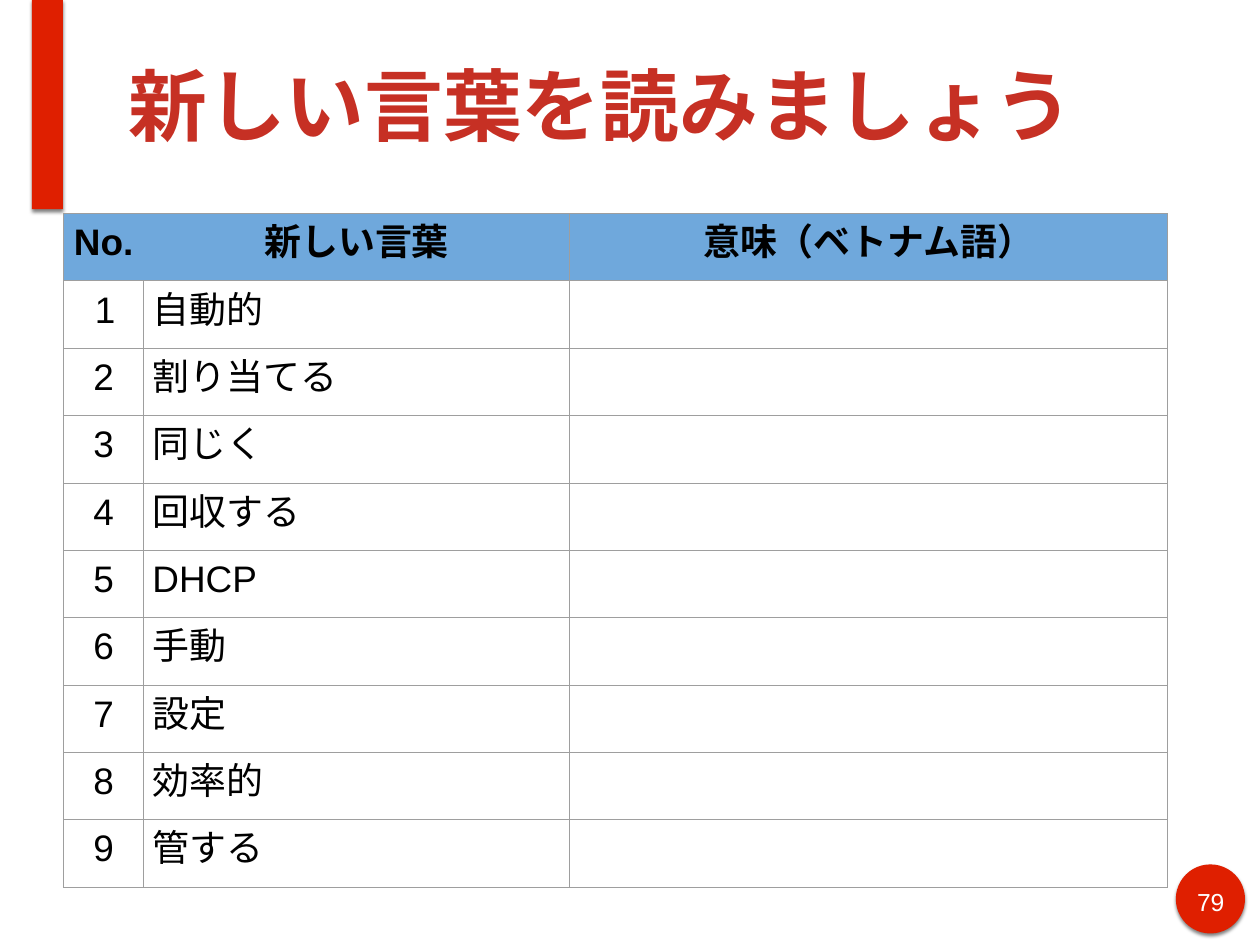
import dataclasses
import pptx
import pptx.dml.color
import pptx.enum.lang
import pptx.enum.shapes
import pptx.enum.text
import pptx.oxml
import pptx.oxml.ns
import pptx.util

RGB = pptx.dml.color.RGBColor
RED = RGB(0xDF, 0x1F, 0x00)
BRICK = RGB(0xC6, 0x30, 0x24)
BLUE = RGB(0x6F, 0xA8, 0xDC)
GREY = RGB(0x9E, 0x9E, 0x9E)
BLACK = RGB(0, 0, 0)
WHITE = RGB(0xFF, 0xFF, 0xFF)

KIND = pptx.enum.shapes.MSO_SHAPE
ALIGN = pptx.enum.text.PP_ALIGN
ANCHOR = pptx.enum.text.MSO_ANCHOR
WIDE, HIGH = pptx.util.Inches(14.22), pptx.util.Inches(10.67)
NS = pptx.oxml.ns.nsdecls("a")

HEAD = ("No.", "新しい言葉", "意味（ベトナム語）")
WORDS = ("自動的", "割り当てる", "同じく", "回収する", "DHCP",
         "手動", "設定", "効率的", "管する")
COLS = (6.33, 33.83, 47.47)  # percent of slide width
ROW = 7.13  # percent of slide height


@dataclasses.dataclass
class Box:
    """A frame in percent of the slide's width and height."""
    left: float
    top: float
    width: float
    height: float

    def frame(self) -> tuple[int, int, int, int]:
        return (share(self.left, WIDE), share(self.top, HIGH),
                share(self.width, WIDE), share(self.height, HIGH))


@dataclasses.dataclass
class Block:
    kind: KIND
    box: Box


@dataclasses.dataclass
class Label:
    text: str
    box: Box
    size: int
    color: RGB
    bold: bool
    align: ALIGN
    anchor: ANCHOR


BLOCKS = (Block(KIND.OVAL, Box(93.32, 91.47, 5.49, 7.31)),
          Block(KIND.RECTANGLE, Box(2.53, 0, 2.46, 22.12)))
LABELS = (
    Label("79", Box(94.37, 93.25, 3.45, 3.66), 20, WHITE, False,
          ALIGN.CENTER, ANCHOR.TOP),
    Label("新しい言葉を読みましょう", Box(9.77, 1.12, 85.37, 19.87), 64, BRICK, True,
          ALIGN.LEFT, ANCHOR.MIDDLE),
)
GRID = Box(5.06, 22.59, sum(COLS), ROW * (len(WORDS) + 1))


def share(part: float, whole: int) -> int:
    return round(part * whole / 100)


def style(para, size: int, color: RGB, bold: bool) -> None:
    for run in para.runs:
        font = run.font
        font.size = pptx.util.Pt(size)
        font.bold = bold
        font.color.rgb = color
        font.name = "Arial"
        font.language_id = pptx.enum.lang.MSO_LANGUAGE_ID.JAPANESE
        font._element.append(pptx.oxml.parse_xml(f'<a:ea {NS} typeface="Arial"/>'))


def draw_block(slide, block: Block) -> None:
    shape = slide.shapes.add_shape(block.kind, *block.box.frame())
    shape.fill.solid()
    shape.fill.fore_color.rgb = RED
    shape.line.fill.background()
    shape.shadow.inherit = False
    glow = pptx.oxml.parse_xml(
        f'<a:outerShdw {NS} blurRad="38100" dist="25400" dir="5400000" rotWithShape="0">'
        '<a:srgbClr val="000000"><a:alpha val="50000"/></a:srgbClr></a:outerShdw>')
    shape._element.spPr.find(pptx.oxml.ns.qn("a:effectLst")).append(glow)


def draw_label(slide, label: Label) -> None:
    frame = slide.shapes.add_textbox(*label.box.frame()).text_frame
    frame.word_wrap = True
    frame.vertical_anchor = label.anchor
    for side in ("left", "right", "top", "bottom"):
        setattr(frame, f"margin_{side}", pptx.util.Inches(0.06))
    frame.text = label.text
    para = frame.paragraphs[0]
    para.alignment = label.align
    style(para, label.size, label.color, label.bold)


def draw_edges(cell, bare: str) -> None:
    props = cell._tc.get_or_add_tcPr()
    for side in "LRTB":
        paint = ("<a:noFill/>" if side == bare else
                 f'<a:solidFill><a:srgbClr val="{GREY}"/></a:solidFill>')
        props.append(pptx.oxml.parse_xml(
            f'<a:ln{side} {NS} w="9525">{paint}</a:ln{side}>'))


def draw_cell(cell, text: str, row: int, col: int) -> None:
    head = row == 0
    # The header has no line between its first two columns
    draw_edges(cell, {0: "R", 1: "L"}.get(col, "") if head else "")
    if head:
        cell.fill.solid()
        cell.fill.fore_color.rgb = BLUE
    else:
        cell.fill.background()
    for side in ("left", "right", "top", "bottom"):
        setattr(cell, f"margin_{side}", pptx.util.Inches(0.1))
    if not text:
        return
    cell.text_frame.text = text
    para = cell.text_frame.paragraphs[0]
    if (row, col) == (1, 0):  # the first number hangs from an indent
        props = para._p.get_or_add_pPr()
        props.set("marL", str(pptx.util.Inches(0.5)))
        props.set("indent", str(pptx.util.Inches(-0.25)))
    elif head or col == 0:
        para.alignment = ALIGN.CENTER
    style(para, 30, BLACK, head)


def draw_table(slide) -> None:
    lines = [HEAD] + [(str(num), word, "") for num, word in enumerate(WORDS, 1)]
    table = slide.shapes.add_table(len(lines), len(COLS), *GRID.frame()).table
    table.first_row = table.horz_banding = False
    for col, width in zip(table.columns, COLS):
        col.width = share(width, WIDE)
    for row, line in enumerate(lines):
        table.rows[row].height = share(ROW, HIGH)
        for col, text in enumerate(line):
            draw_cell(table.cell(row, col), text, row, col)


def main() -> None:
    deck = pptx.Presentation()
    deck.slide_width, deck.slide_height = WIDE, HIGH
    slide = deck.slides.add_slide(deck.slide_layouts[6])
    # Red page disc and side bar
    for block in BLOCKS:
        draw_block(slide, block)
    # Page number and title
    for label in LABELS:
        draw_label(slide, label)
    # Word list
    draw_table(slide)
    deck.save("out.pptx")


if __name__ == "__main__":
    main()
